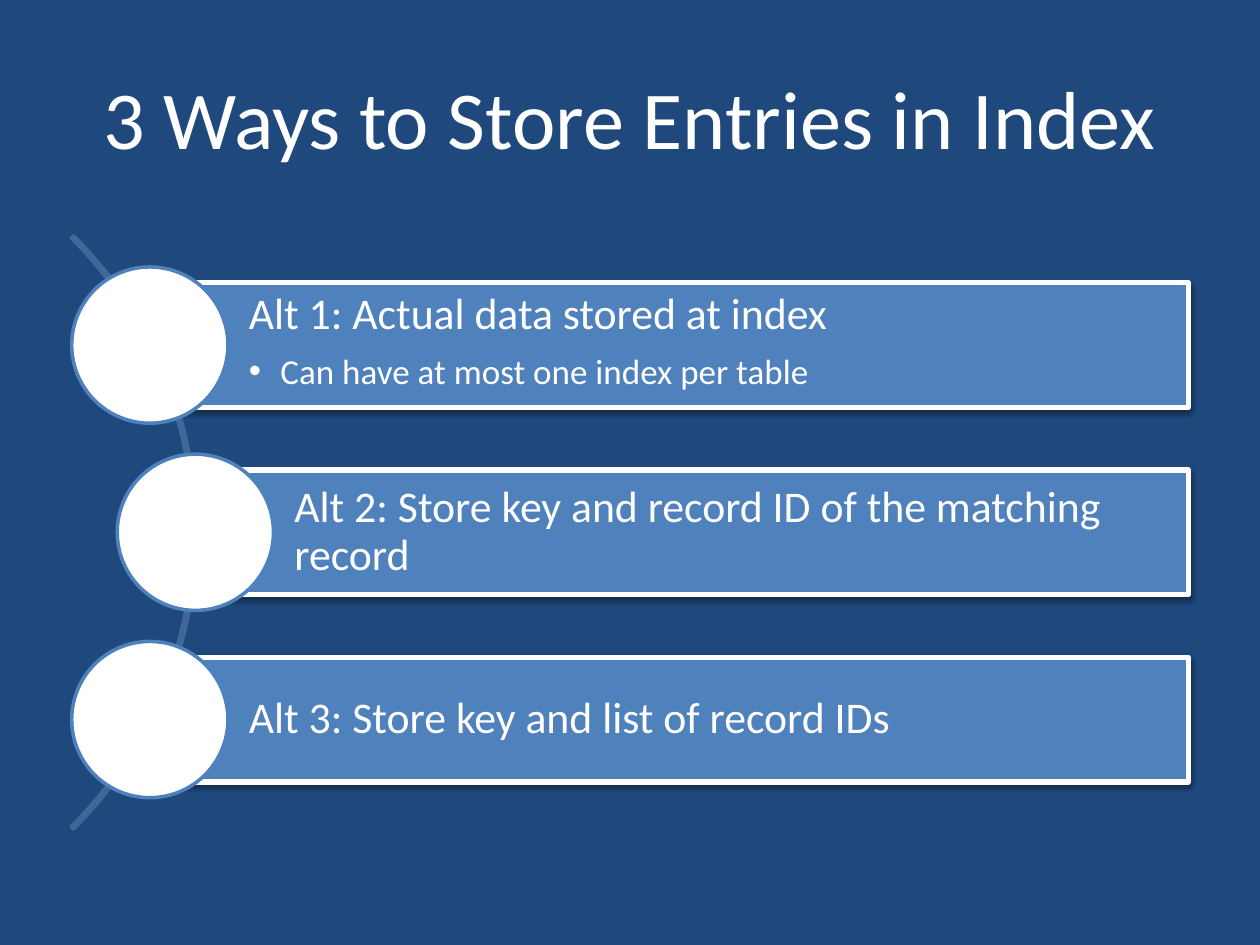
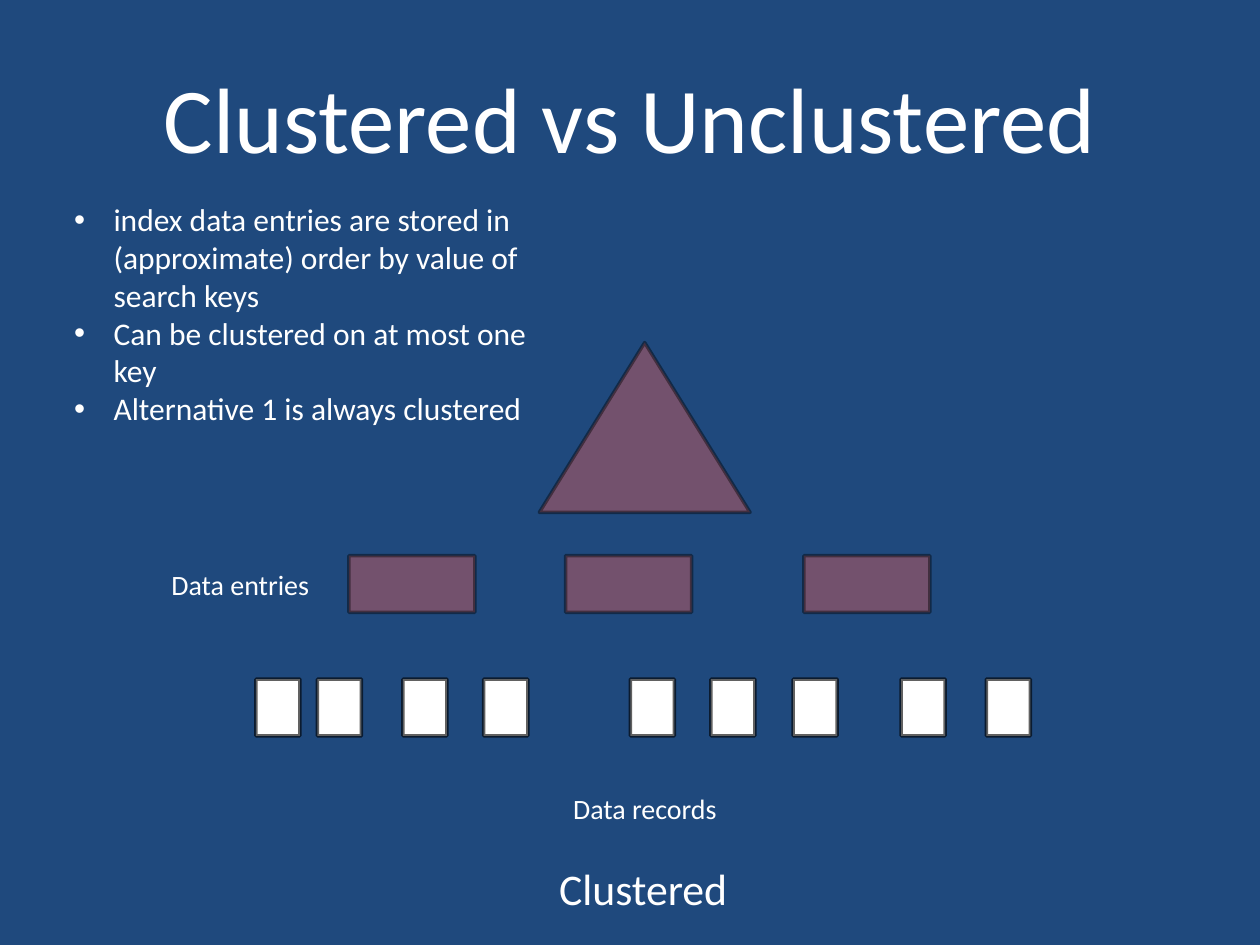
import lxml.etree
import pptx
import pptx.util
import pptx.dml.color
import pptx.enum.shapes
import pptx.enum.text
import pptx.oxml.ns

Pt = pptx.util.Pt
RGBColor = pptx.dml.color.RGBColor
Shapes = pptx.enum.shapes.MSO_SHAPE
Anchor = pptx.enum.text.MSO_ANCHOR
Align = pptx.enum.text.PP_ALIGN
qn = pptx.oxml.ns.qn

NAVY = RGBColor(0x1F, 0x49, 0x7D)
BLUE = RGBColor(0x4F, 0x81, 0xBD)
ARC_BLUE = RGBColor(0x3F, 0x67, 0x97)
CORAL = RGBColor(0xEC, 0x5D, 0x57)
WHITE = RGBColor(0xFF, 0xFF, 0xFF)
BLACK = RGBColor(0, 0, 0)
FONT = "Calibri"


# Shared formatting
def style_paragraph(paragraph, size, align=Align.LEFT):
    paragraph.alignment = align
    paragraph.font.name = FONT
    paragraph.font.size = Pt(size)
    paragraph.font.color.rgb = WHITE


def add_bullet(paragraph, indent):
    properties = paragraph._p.get_or_add_pPr()
    properties.set("marL", str(Pt(indent)))
    properties.set("indent", str(-Pt(indent)))
    font = lxml.etree.SubElement(properties, qn("a:buFont"), typeface="Arial")
    font.addnext(lxml.etree.Element(qn("a:buChar"), char="•"))
    # Default run properties must follow the bullet
    defaults = properties.find(qn("a:defRPr"))
    if defaults is not None:
        properties.append(defaults)


def set_insets(frame, left, top, right, bottom):
    frame.margin_left, frame.margin_top = Pt(left), Pt(top)
    frame.margin_right, frame.margin_bottom = Pt(right), Pt(bottom)


def set_alpha(color_format_fill, percent):
    color = color_format_fill.find(".//" + qn("a:srgbClr"))
    lxml.etree.SubElement(color, qn("a:alpha"), val=str(percent * 1000))


def paint(shape, fill, line, width, fill_alpha=100, line_alpha=100):
    shape.shadow.inherit = False
    if fill is None:
        shape.fill.background()
    else:
        shape.fill.solid()
        shape.fill.fore_color.rgb = fill
    shape.line.color.rgb = line
    shape.line.width = Pt(width)
    properties = shape._element.spPr
    if fill_alpha < 100:
        set_alpha(properties.find(qn("a:solidFill")), fill_alpha)
    if line_alpha < 100:
        set_alpha(properties.find(qn("a:ln")), line_alpha)


def add_shape(slide, kind, left, top, width, height, *colors, **alphas):
    shape = slide.shapes.add_shape(kind, Pt(left), Pt(top), Pt(width), Pt(height))
    paint(shape, *colors, **alphas)
    return shape


def add_drop_shadow(shape):
    effects = shape._element.spPr.find(qn("a:effectLst"))
    shadow = lxml.etree.SubElement(
        effects, qn("a:outerShdw"), blurRad=str(Pt(3.1)), dist=str(Pt(1.6)),
        dir="5400000", rotWithShape="0")
    color = lxml.etree.SubElement(shadow, qn("a:srgbClr"), val=str(BLACK))
    lxml.etree.SubElement(color, qn("a:alpha"), val="38000")


def add_label(slide, text, size, left, top, width, height):
    box = slide.shapes.add_textbox(Pt(left), Pt(top), Pt(width), Pt(height))
    frame = box.text_frame
    frame.word_wrap = False
    frame.auto_size = pptx.enum.text.MSO_AUTO_SIZE.SHAPE_TO_FIT_TEXT
    frame.vertical_anchor = Anchor.MIDDLE
    set_insets(frame, 3, 3, 3, 3)
    frame.text = text
    style_paragraph(frame.paragraphs[0], size)


def add_titled_slide(presentation, text, size):
    slide = presentation.slides.add_slide(presentation.slide_layouts[5])
    title = slide.shapes.title
    title.left, title.top, title.width, title.height = Pt(36), Pt(21.6), Pt(648), Pt(90)
    title.text_frame.text = text
    title.text_frame.vertical_anchor = Anchor.MIDDLE
    style_paragraph(title.text_frame.paragraphs[0], size, Align.CENTER)
    return slide


# Curved list: an arc with one disc and bar for each alternative
def add_curved_list(slide, items, left, top, width, height):
    arc_size, disc, bar_height = 479.5, 89.3, 71.3
    arc = add_shape(slide, Shapes.BLOCK_ARC, left + 71.3 - arc_size,
                    top + (height - arc_size) / 2, arc_size, arc_size,
                    None, ARC_BLUE, 2)
    arc.adjustments[0], arc.adjustments[1], arc.adjustments[2] = 189, 27, 0.004

    pitch = 107
    middle = (len(items) - 1) / 2
    for index, (heading, detail) in enumerate(items):
        center = top + height / 2 + (index - middle) * pitch
        disc_left = left + (26 if index == middle else 0)
        bar_left = disc_left + disc / 2
        bar = add_shape(slide, Shapes.RECTANGLE, bar_left, center - bar_height / 2,
                        left + width - bar_left, bar_height, BLUE, WHITE, 3)
        add_drop_shadow(bar)
        frame = bar.text_frame
        frame.word_wrap = True
        frame.vertical_anchor = Anchor.TOP if detail else Anchor.MIDDLE
        set_insets(frame, 56.6, 5, 5, 5)
        frame.text = heading
        style_paragraph(frame.paragraphs[0], 25)
        frame.paragraphs[0].space_after = Pt(8.75)
        frame.paragraphs[0].line_spacing = 0.9
        if detail:
            paragraph = frame.add_paragraph()
            paragraph.text = detail
            paragraph.level = 1
            paragraph.line_spacing = 0.9
            style_paragraph(paragraph, 20)
            add_bullet(paragraph, 18)
        add_shape(slide, Shapes.OVAL, disc_left, center - disc / 2, disc, disc,
                  WHITE, BLUE, 2)


# Index tree: triangle, data entries and data records
def add_index_tree(slide, left, top, width):
    index_colors = (CORAL, BLACK, 2)
    index_alphas = {"fill_alpha": 41, "line_alpha": 41}

    triangle_left, triangle_width, triangle_height = left + 162, 120.4, 97
    builder = slide.shapes.build_freeform(
        Pt(triangle_left + triangle_width / 2), Pt(top))
    builder.add_line_segments([
        (Pt(triangle_left + triangle_width), Pt(top + triangle_height)),
        (Pt(triangle_left), Pt(top + triangle_height))])
    paint(builder.convert_to_shape(), *index_colors, **index_alphas)

    for offset in (53.2, 177, 313.2):
        add_shape(slide, Shapes.RECTANGLE, left + offset, top + 121.7, 72, 32.4,
                  *index_colors, **index_alphas)
    for offset in (0, 35.2, 84, 130.2, 214, 260, 307, 368.7, 417.4):
        add_shape(slide, Shapes.RECTANGLE, left + offset, top + 192.3, 25.2, 32.4,
                  WHITE, BLACK, 2, line_alpha=61)

    center = left + width / 2
    add_label(slide, "Data entries", 16, left - 51.2, top + 125.3, 85.7, 25.2)
    add_label(slide, "Data records", 16, center - 43, top + 253.4, 89.3, 25.2)
    add_label(slide, "Clustered", 25, center - 51, top + 293.8, 103.7, 36)


def add_bullet_list(slide, items, left, top, width, height):
    frame = slide.shapes.add_textbox(
        Pt(left), Pt(top), Pt(width), Pt(height)).text_frame
    frame.word_wrap = True
    frame.auto_size = pptx.enum.text.MSO_AUTO_SIZE.SHAPE_TO_FIT_TEXT
    frame.text = "\n".join(items)
    for paragraph in frame.paragraphs:
        style_paragraph(paragraph, 18)
        add_bullet(paragraph, 22.5)


presentation = pptx.Presentation()
presentation.slide_width, presentation.slide_height = Pt(720), Pt(540)
background = presentation.slide_master.background.fill
background.solid()
background.fore_color.rgb = NAVY

# Slide 1: storage alternatives
slide = add_titled_slide(presentation, "3 Ways to Store Entries in Index", 47)
add_curved_list(slide, [
    ("Alt 1: Actual data stored at index", "Can have at most one index per table"),
    ("Alt 2: Store key and record ID of the matching record", None),
    ("Alt 3: Store key and list of record IDs", None),
], 41, 126, 638, 356.4)

# Slide 2: clustered index
slide = add_titled_slide(presentation, "Clustered vs Unclustered", 53)
add_index_tree(slide, 146.2, 195.8, 442.6)
add_bullet_list(slide, [
    "index data entries are stored in (approximate) order by value of search keys",
    "Can be clustered on at most one key",
    "Alternative 1 is always clustered",
], 35.3, 110.9, 289.4, 159.8)

presentation.save("out.pptx")
